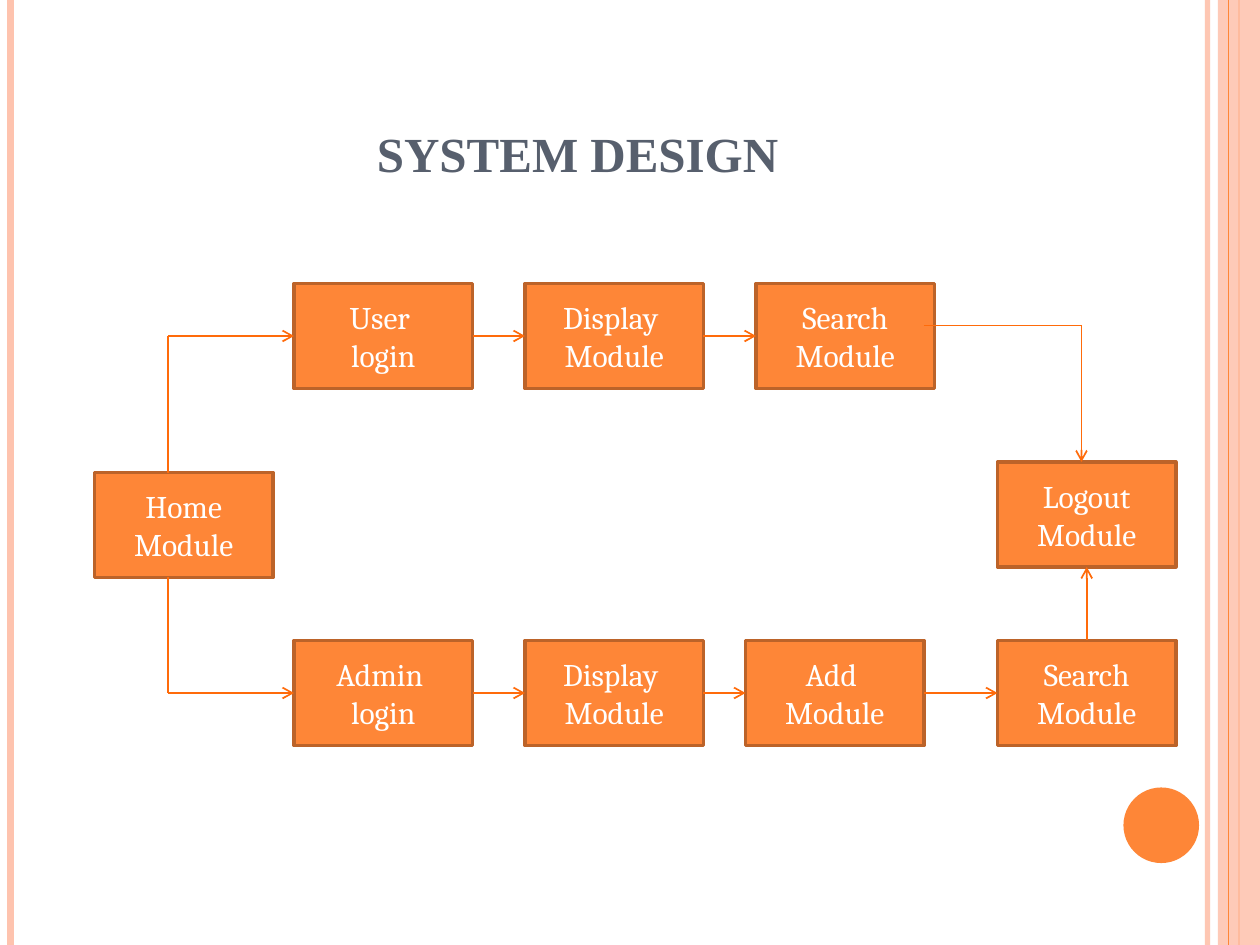
from dataclasses import dataclass

from lxml import etree
from pptx import Presentation
from pptx.dml.color import RGBColor
from pptx.enum import shapes, text
from pptx.oxml import ns
from pptx.util import Pt


@dataclass(frozen=True)
class Theme:
    accent: str = "FE8637"
    border: str = "BC6329"
    arrow: str = "FF6B0A"
    stripe: str = "FEC3AE"
    heading: str = "575F6D"
    label: str = "FFFFFF"
    heading_font: str = "Times New Roman"
    label_font: str = "Cambria"
    heading_size: int = 28
    label_size: int = 18


THEME = Theme()
SLIDE_W, SLIDE_H = 720, 540
BOX_W, BOX_H = 102, 60

# Rows and columns of the flow
USER_Y, LOGOUT_Y, HOME_Y, ADMIN_Y = 162, 264, 270, 366
HOME_X, LOGIN_X, DISPLAY_X, ADD_X, SEARCH_X, END_X = 54, 168, 300, 426, 432, 570
USER_LINE, ADMIN_LINE, LOGOUT_LINE = 192, 396, 186
BRANCH_X, LOGOUT_X = 96, 618

MODULES = [
    ("Home\nModule", HOME_X, HOME_Y),
    ("User \nlogin", LOGIN_X, USER_Y),
    ("Display \nModule", DISPLAY_X, USER_Y),
    ("Search\nModule", SEARCH_X, USER_Y),
    ("Admin \nlogin", LOGIN_X, ADMIN_Y),
    ("Display \nModule", DISPLAY_X, ADMIN_Y),
    ("Add \nModule", ADD_X, ADMIN_Y),
    ("Search\nModule", END_X, ADMIN_Y),
    ("Logout Module", END_X, LOGOUT_Y),
]


def rgb(color):
    return RGBColor.from_string(color)


def set_alpha(fill_owner, percent):
    """Make the solid colour inside an element partly transparent."""
    color = next(fill_owner.iter(ns.qn("a:srgbClr")))
    etree.SubElement(color, ns.qn("a:alpha"), val=str(percent * 1000))


def write(frame, content, *, font, size, color, bold=False,
          anchor=text.MSO_ANCHOR.MIDDLE):
    frame.word_wrap = True
    frame.vertical_anchor = anchor
    frame.text = content
    for line in frame.paragraphs:
        line.alignment = text.PP_ALIGN.CENTER
        for run in line.runs:
            run.font.name = font
            run.font.size = Pt(size)
            run.font.bold = bold
            run.font.color.rgb = rgb(color)


def add_block(slide, kind, x, y, w, h, fill, border=None):
    block = slide.shapes.add_shape(kind, Pt(x), Pt(y), Pt(w), Pt(h))
    block.shadow.inherit = False
    block.fill.solid()
    block.fill.fore_color.rgb = rgb(fill)
    if border:
        block.line.color.rgb = rgb(border)
        block.line.width = Pt(2)
    else:
        block.line.fill.background()
    return block


def add_line(slide, start, end, color=THEME.arrow, width=1, arrow=False):
    line = slide.shapes.add_connector(
        shapes.MSO_CONNECTOR.STRAIGHT, *(Pt(v) for v in (*start, *end)))
    line.line.color.rgb = rgb(color)
    line.line.width = Pt(width)
    properties = line._element.spPr
    if arrow:
        etree.SubElement(properties.find(ns.qn("a:ln")),
                         ns.qn("a:tailEnd"), type="arrow")
    etree.SubElement(properties, ns.qn("a:effectLst"))
    return line


def add_title(slide, content):
    title = slide.shapes.title
    title.left, title.top, title.width, title.height = (
        Pt(v) for v in (36, 21.6, 588, 86.4))
    write(title.text_frame, content, font=THEME.heading_font,
          size=THEME.heading_size, color=THEME.heading, bold=True,
          anchor=text.MSO_ANCHOR.BOTTOM)


def add_decoration(slide):
    def stripe(x, color, width):
        return add_line(slide, (x, 0), (x, SLIDE_H), color, width)

    set_alpha(stripe(690, THEME.stripe, 3)._element.spPr, 93)
    stripe(6, THEME.stripe, 4.5)
    stripe(708, THEME.accent, 1.5)
    band = add_block(slide, shapes.MSO_SHAPE.RECTANGLE,
                     696, 0, SLIDE_W - 696, SLIDE_H, THEME.stripe)
    set_alpha(band._element.spPr, 87)
    stripe(702, THEME.accent, 0.75)
    add_block(slide, shapes.MSO_SHAPE.OVAL, 642, 450, 43.2, 43.2, THEME.accent)


def add_module(slide, label, x, y):
    box = add_block(slide, shapes.MSO_SHAPE.RECTANGLE, x, y, BOX_W, BOX_H,
                    THEME.accent, THEME.border)
    write(box.text_frame, label, font=THEME.label_font,
          size=THEME.label_size, color=THEME.label)


def add_flow(slide):
    # Arrows along the user and admin rows
    rows = [(USER_LINE, (LOGIN_X, DISPLAY_X, SEARCH_X)),
            (ADMIN_LINE, (LOGIN_X, DISPLAY_X, ADD_X, END_X))]
    for y, columns in rows:
        starts = [BRANCH_X] + [x + BOX_W for x in columns[:-1]]
        for start, end in zip(starts, columns):
            add_line(slide, (start, y), (end, y), arrow=True)

    # Branches out of the home module
    add_line(slide, (BRANCH_X, USER_LINE), (BRANCH_X, HOME_Y))
    add_line(slide, (BRANCH_X, HOME_Y + BOX_H), (BRANCH_X, ADMIN_LINE))

    # Both searches lead to the logout module
    add_line(slide, (ADD_X + BOX_W, LOGOUT_LINE), (LOGOUT_X, LOGOUT_LINE))
    add_line(slide, (LOGOUT_X, LOGOUT_LINE), (LOGOUT_X, LOGOUT_Y), arrow=True)
    center = END_X + BOX_W / 2
    add_line(slide, (center, ADMIN_Y), (center, LOGOUT_Y + BOX_H), arrow=True)


def main():
    deck = Presentation()
    deck.slide_width, deck.slide_height = Pt(SLIDE_W), Pt(SLIDE_H)
    slide = deck.slides.add_slide(deck.slide_layouts.get_by_name("Title Only"))
    add_decoration(slide)
    add_title(slide, "SYSTEM DESIGN")
    for label, x, y in MODULES:
        add_module(slide, label, x, y)
    add_flow(slide)
    deck.save("out.pptx")


main()
